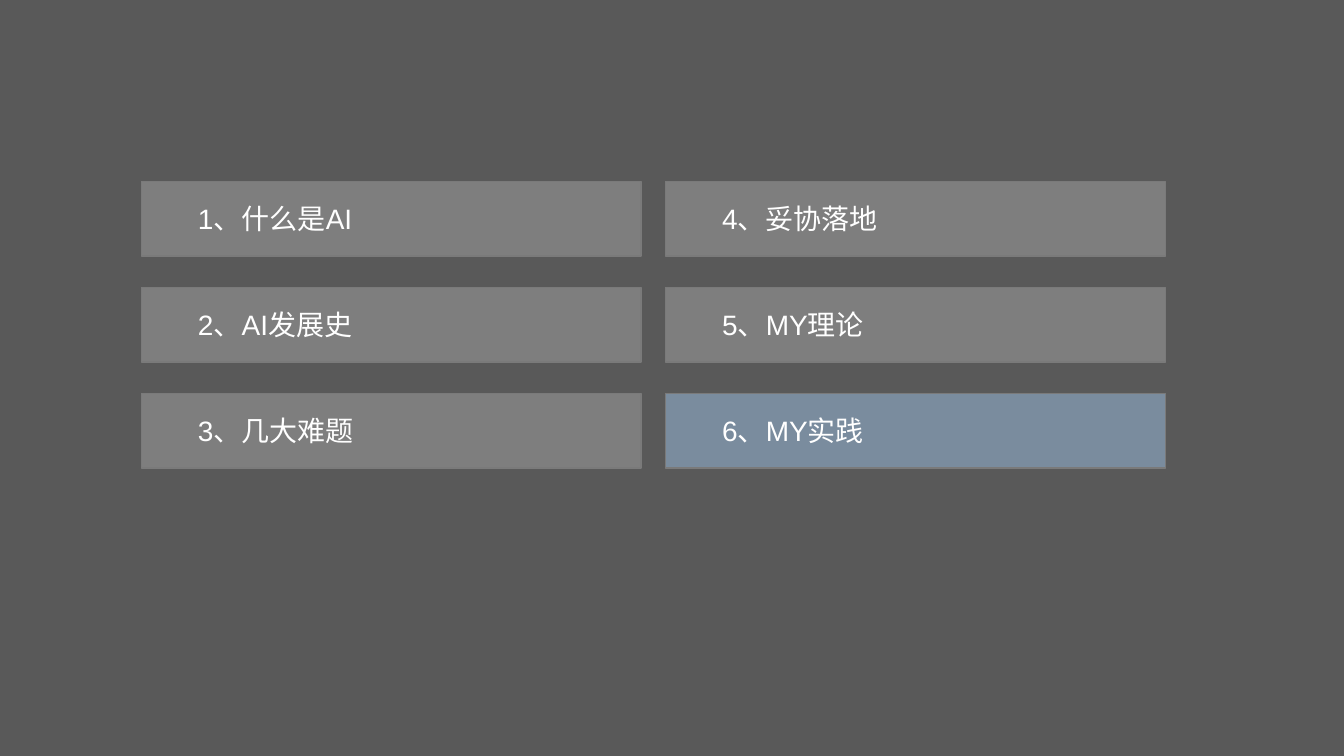
from lxml import etree
from pptx import Presentation
from pptx import util as u
from pptx.dml.color import RGBColor
from pptx.enum import shapes, text
from pptx.oxml.ns import qn

WIDTH, HEIGHT = u.Cm(33.87), u.Cm(19.05)
GREY, BLUE, EDGE = "A5A5A5", "9DC3E6", "7A7A7A"
TOPICS = ["1、什么是AI", "2、AI发展史", "3、几大难题",
          "4、妥协落地", "5、MY理论", "6、MY实践"]
CURRENT = 5
ROWS = 3
FRAME = {"margin_left": u.Cm(1.43), "word_wrap": True,
         "vertical_anchor": text.MSO_ANCHOR.MIDDLE}
FONT = {"name": "Arial", "size": u.Pt(20)}


def colour(value):
    return RGBColor.from_string(value)


def apply(target, values):
    for name, value in values.items():
        setattr(target, name, value)


def add_panel(page, left, top, width, height, fill, opacity):
    """Add a translucent rectangle without a line."""
    box = page.shapes.add_shape(shapes.MSO_SHAPE.RECTANGLE,
                                left, top, width, height)
    box.shadow.inherit = False
    box.fill.solid()
    box.fill.fore_color.rgb = colour(fill)
    tint = box.fill._xPr.find(qn("a:solidFill"))[0]
    etree.SubElement(tint, qn("a:alpha")).set("val", str(opacity * 1000))
    box.line.fill.background()
    return box


def add_topic(page, left, top, label, fill):
    """Add an outlined agenda bar with its label."""
    box = add_panel(page, left, top, u.Cm(12.6), u.Cm(1.88), fill, 49)
    box.line.color.rgb = colour(EDGE)
    box.line.width = u.Pt(1)
    apply(box.text_frame, FRAME)
    para = box.text_frame.paragraphs[0]
    para.alignment = text.PP_ALIGN.LEFT
    span = para.add_run()
    span.text = label
    apply(span.font, FONT)
    span.font.color.rgb = colour("FFFFFF")


def main():
    deck = Presentation()
    deck.slide_width, deck.slide_height = WIDTH, HEIGHT
    page = deck.slides.add_slide(deck.slide_layouts[6])

    # Dark veil over the white page
    add_panel(page, 0, 0, WIDTH, HEIGHT, "000000", 65)

    # Agenda, filled column by column, with the current topic in blue
    for index, label in enumerate(TOPICS):
        column, row = divmod(index, ROWS)
        add_topic(page, u.Cm(3.56 + 13.21 * column), u.Cm(4.57 + 2.67 * row),
                  label, BLUE if index == CURRENT else GREY)

    deck.save("out.pptx")


if __name__ == "__main__":
    main()
